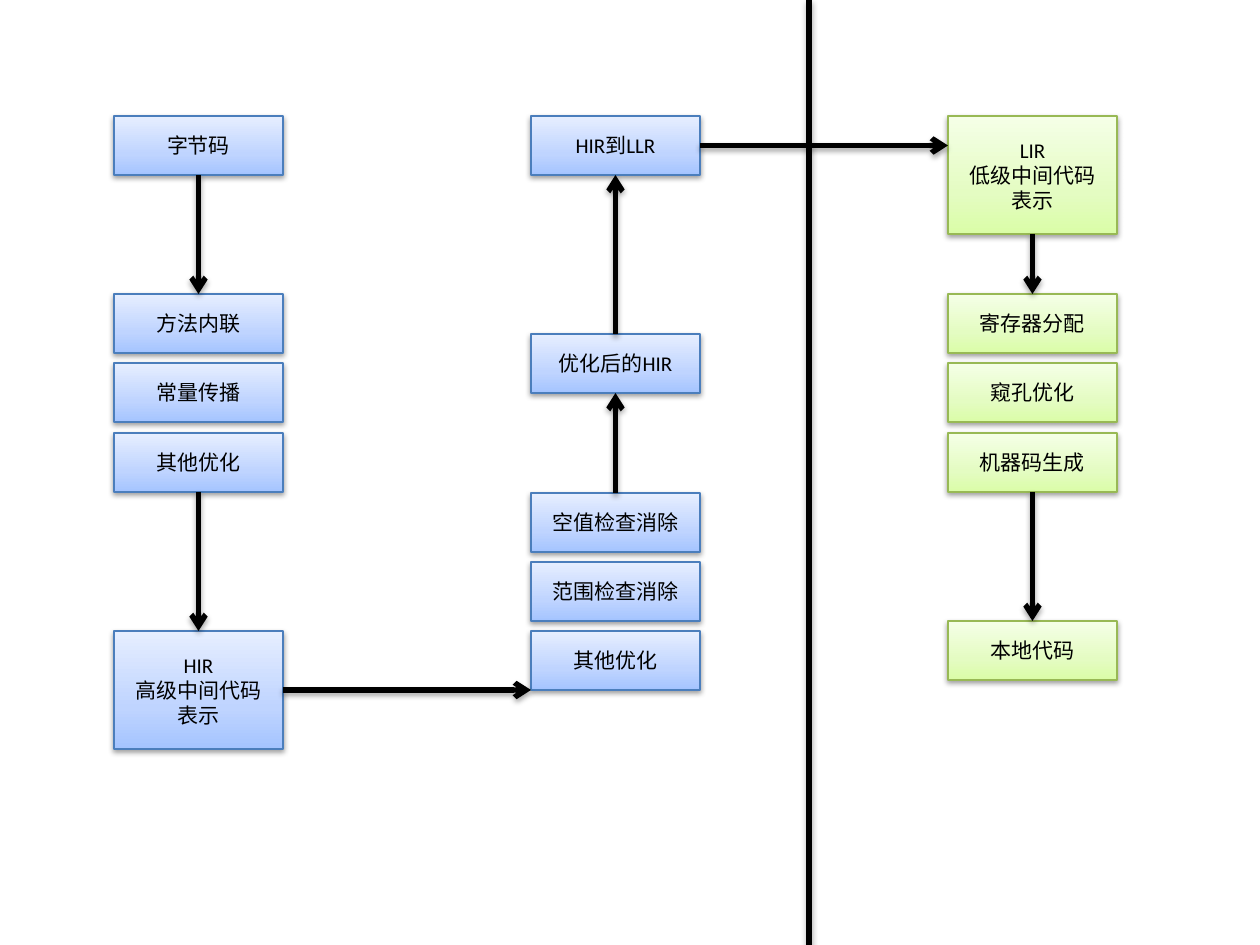
from lxml import etree
from copy import deepcopy
from pptx import Presentation
from pptx.dml.color import RGBColor
from pptx.enum.shapes import MSO_CONNECTOR, MSO_SHAPE
from pptx.enum.text import MSO_ANCHOR, PP_ALIGN
from pptx.oxml.ns import qn
from pptx.util import Emu, Pt

RECTANGLE = MSO_SHAPE.RECTANGLE
STRAIGHT = MSO_CONNECTOR.STRAIGHT
MIDDLE = MSO_ANCHOR.MIDDLE
CENTER = PP_ALIGN.CENTER

BLACK = RGBColor(0x00, 0x00, 0x00)
BLUE = {
    "stops": [RGBColor(0xA4, 0xC4, 0xFF), RGBColor(0xBF, 0xD4, 0xFF), RGBColor(0xE6, 0xEE, 0xFF)],
    "edge": RGBColor(0x4B, 0x7E, 0xBC),
}
GREEN = {
    "stops": [RGBColor(0xDA, 0xFD, 0xA7), RGBColor(0xE4, 0xFC, 0xC2), RGBColor(0xF5, 0xFF, 0xE7)],
    "edge": RGBColor(0x98, 0xB9, 0x55),
}
STOP_POSITIONS = (0, 35000, 100000)

SLIDE_WIDTH, SLIDE_HEIGHT = 1260, 945
FIRST_LEFT, COLUMN_STEP = 114, 417
STEP_WIDTH, STEP_HEIGHT = 169, 59
DIVIDER_X = 809

COLUMNS = [
    (BLUE, [
        ("字节码", 116, 1),
        ("方法内联", 294, 1),
        ("常量传播", 363, 1),
        ("其他优化", 433, 1),
        ("HIR\n高级中间代码表示", 631, 2),
    ]),
    (BLUE, [
        ("HIR到LLR", 116, 1),
        ("优化后的HIR", 334, 1),
        ("空值检查消除", 493, 1),
        ("范围检查消除", 562, 1),
        ("其他优化", 631, 1),
    ]),
    (GREEN, [
        ("LIR\n低级中间代码表示", 116, 2),
        ("寄存器分配", 294, 1),
        ("窥孔优化", 363, 1),
        ("机器码生成", 433, 1),
        ("本地代码", 621, 1),
    ]),
]
FLOWS = [
    ((0, 0), (0, 1)),
    ((0, 3), (0, 4)),
    ((0, 4), (1, 4)),
    ((1, 2), (1, 1)),
    ((1, 1), (1, 0)),
    ((1, 0), (2, 0)),
    ((2, 0), (2, 1)),
    ((2, 3), (2, 4)),
]


def px(length):
    return Emu(round(length * 914400 / 126))


def add_shadow(item, distance, opacity):
    effects = etree.SubElement(item._element.spPr, qn("a:effectLst"))
    shadow = etree.SubElement(effects, qn("a:outerShdw"), blurRad="40000", dist=str(distance),
                              dir="5400000", rotWithShape="0")
    color = etree.SubElement(shadow, qn("a:srgbClr"), val="000000")
    etree.SubElement(color, qn("a:alpha"), val=str(opacity * 1000))


def fill_gradient(fill, colors):
    fill.gradient()
    fill.gradient_angle = 90
    first = fill.gradient_stops[0]._gs
    first.addnext(deepcopy(first))
    for stop, color, position in zip(fill.gradient_stops, colors, STOP_POSITIONS):
        stop.color.rgb = color
        stop._gs.set("pos", str(position))


def write(frame, text, size=12, font="Calibri", color=BLACK, align=CENTER):
    frame.word_wrap = True
    frame.vertical_anchor = MIDDLE
    frame.text = text
    for paragraph in frame.paragraphs:
        paragraph.alignment = align
        paragraph.font.size = Pt(size)
        paragraph.font.name = font
        paragraph.font.color.rgb = color


def add_step(text, left, top, height, theme):
    step = slide.shapes.add_shape(RECTANGLE, px(left), px(top), px(STEP_WIDTH), px(height))
    fill_gradient(step.fill, theme["stops"])
    step.line.color.rgb = theme["edge"]
    step.line.width = Pt(0.75)
    add_shadow(step, 20000, 38)
    write(step.text_frame, text)


def add_line(start, end, arrow=True):
    line = slide.shapes.add_connector(STRAIGHT, *map(px, start + end))
    line.line.color.rgb = BLACK
    line.line.width = Pt(3)
    if arrow:
        etree.SubElement(line.line._get_or_add_ln(), qn("a:tailEnd"), type="arrow")
    add_shadow(line, 23000, 35)


def flow_ends(source, target):
    left, top, height = places[source]
    next_left, next_top, next_height = places[target]
    if left != next_left:
        y = top + STEP_HEIGHT / 2 * (height / STEP_HEIGHT)
        return (left + STEP_WIDTH, y), (next_left, y)
    x = left + STEP_WIDTH / 2
    if next_top > top:
        return (x, top + height), (x, next_top)
    return (x, top), (x, next_top + next_height)


deck = Presentation()
deck.slide_width, deck.slide_height = px(SLIDE_WIDTH), px(SLIDE_HEIGHT)
slide = deck.slides.add_slide(deck.slide_layouts[6])

places = {}
for column, (theme, steps) in enumerate(COLUMNS):
    left = FIRST_LEFT + column * COLUMN_STEP
    for row, (text, top, units) in enumerate(steps):
        places[column, row] = left, top, units * STEP_HEIGHT
        add_step(text, *places[column, row], theme)

for source, target in FLOWS:
    add_line(*flow_ends(source, target))
add_line((DIVIDER_X, 0), (DIVIDER_X, SLIDE_HEIGHT), arrow=False)

deck.save("out.pptx")
